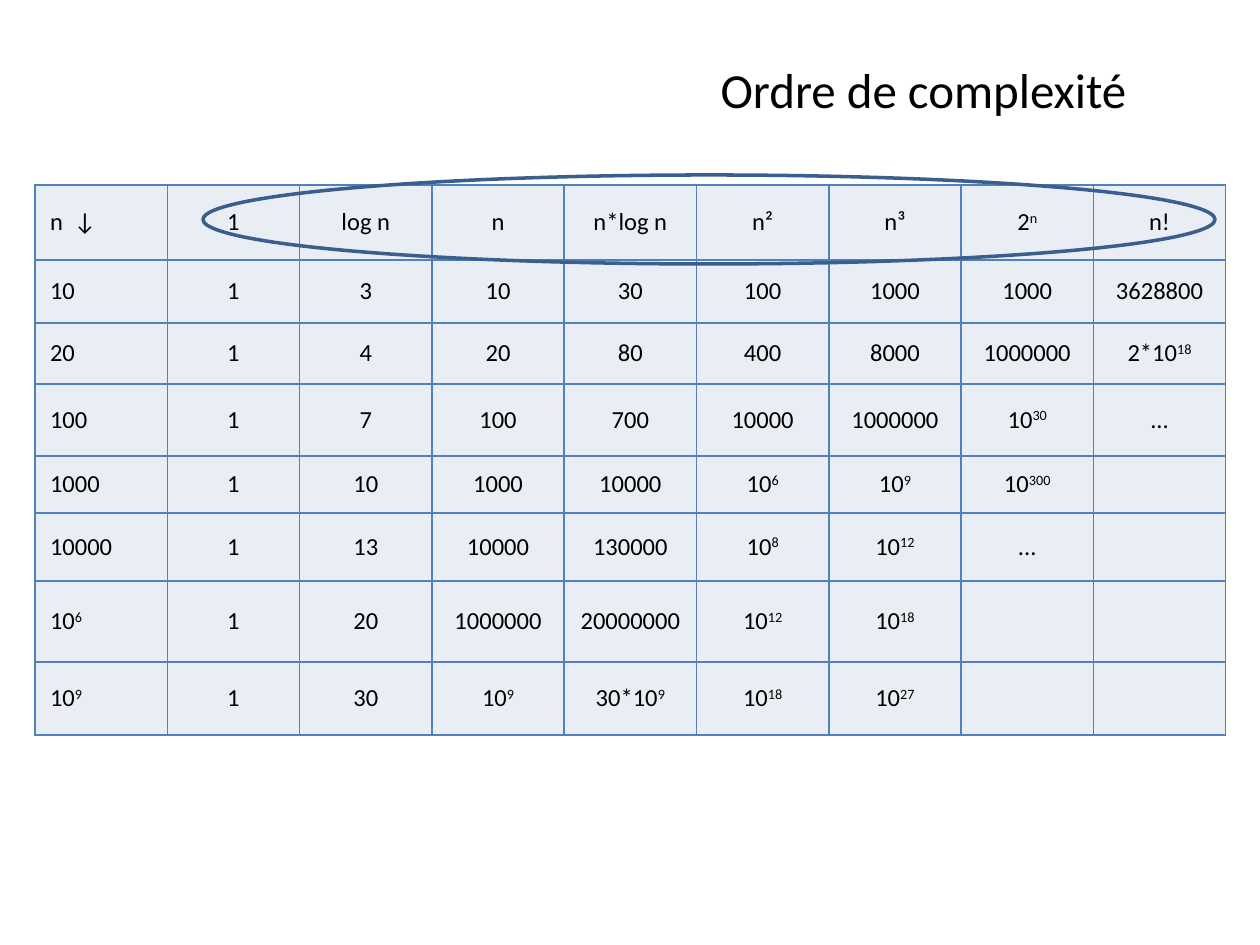
from pptx import Presentation
from pptx.dml.color import RGBColor
from pptx.enum.shapes import MSO_SHAPE
from pptx.enum.text import MSO_ANCHOR, PP_ALIGN
from pptx.oxml import parse_xml
from pptx.oxml.ns import nsdecls
from pptx.util import Emu, Pt

LEFT, CENTER = PP_ALIGN.LEFT, PP_ALIGN.CENTER
TOP, MIDDLE = MSO_ANCHOR.TOP, MSO_ANCHOR.MIDDLE
OVAL = MSO_SHAPE.OVAL

TITLE = "Ordre de complexité"
ROWS = [
    ["n  ↓", "1", "log n", "n", "n*log n", "n²", "n³", "2^n", "n!"],
    ["10", "1", "3", "10", "30", "100", "1000", "1000", "3628800"],
    ["20", "1", "4", "20", "80", "400", "8000", "1000000", "2*10^18"],
    ["100", "1", "7", "100", "700", "10000", "1000000", "10^30", "..."],
    ["1000", "1", "10", "1000", "10000", "10^6", "10^9", "10^300", ""],
    ["10000", "1", "13", "10000", "130000", "10^8", "10^12", "...", ""],
    ["10^6", "1", "20", "1000000", "20000000", "10^12", "10^18", "", ""],
    ["10^9", "1", "30", "10^9", "30*10^9", "10^18", "10^27", "", ""],
]
ROW_HEIGHTS = [75, 63, 61, 72, 57, 68, 81, 73]
TABLE_LEFT, TABLE_TOP, TABLE_WIDTH = 35, 185, 1191
TITLE_BOX = (708, 53, 436, 72)
ELLIPSE_BOX = (203, 175, 1012, 89)
COLORS = {"text": "000000", "cell": "E9EDF4", "border": "4F81BD", "ellipse": "3A5F8C"}
FONT = "Calibri"


def px(n):
    return Emu(round(n * 914400 / 126))


def rgb(name):
    return RGBColor.from_string(COLORS[name])


def set_all(obj, formats):
    for name, value in formats.items():
        setattr(obj, name, value)


def add_run(p, text, size, raised=False):
    r = p.add_run()
    r.text = text
    set_all(r.font, {"name": FONT, "size": Pt(size), "bold": False})
    r.font.color.rgb = rgb("text")
    if raised:
        r._r.get_or_add_rPr().set("baseline", "30000")


def add_borders(cell):
    tcPr = cell._tc.get_or_add_tcPr()
    for i, side in enumerate(("lnL", "lnR", "lnT", "lnB")):
        tcPr.insert(i, parse_xml(
            f'<a:{side} {nsdecls("a")} w="12700"><a:solidFill>'
            f'<a:srgbClr val="{COLORS["border"]}"/></a:solidFill></a:{side}>'))


def fill_cell(cell, text, align):
    cell.fill.solid()
    cell.fill.fore_color.rgb = rgb("cell")
    add_borders(cell)
    set_all(cell, {"vertical_anchor": MIDDLE, "margin_left": px(15), "margin_right": px(15),
                   "margin_top": 0, "margin_bottom": 0})
    if not text:
        return
    p = cell.text_frame.paragraphs[0]
    set_all(p, {"alignment": align, "space_after": Pt(12)})
    base, _, exponent = text.partition("^")
    add_run(p, base, 14)
    if exponent:
        add_run(p, exponent, 14, raised=True)


def add_table(s):
    table = s.shapes.add_table(len(ROWS), len(ROWS[0]), px(TABLE_LEFT), px(TABLE_TOP),
                               px(TABLE_WIDTH), px(sum(ROW_HEIGHTS))).table
    set_all(table, {"first_row": False, "horz_banding": False})
    for row, height in zip(table.rows, ROW_HEIGHTS):
        row.height = px(height)
    for i, values in enumerate(ROWS):
        for j, text in enumerate(values):
            fill_cell(table.cell(i, j), text, CENTER if j else LEFT)


def add_ellipse(s):
    sp = s.shapes.add_shape(OVAL, *map(px, ELLIPSE_BOX))
    sp.shadow.inherit = False
    sp.fill.background()
    sp.line.color.rgb = rgb("ellipse")
    sp.line.width = Pt(2)


def add_title(s):
    sp = s.shapes.title
    set_all(sp, dict(zip(("left", "top", "width", "height"), map(px, TITLE_BOX))))
    tf = sp.text_frame
    set_all(tf, {"word_wrap": False, "vertical_anchor": TOP})
    p = tf.paragraphs[0]
    p.alignment = LEFT
    add_run(p, TITLE, 28)


def main():
    prs = Presentation()
    set_all(prs, {"slide_width": px(1260), "slide_height": px(945)})
    s = prs.slides.add_slide(prs.slide_layouts[5])
    add_table(s)
    add_ellipse(s)
    add_title(s)
    prs.save("out.pptx")


if __name__ == "__main__":
    main()
